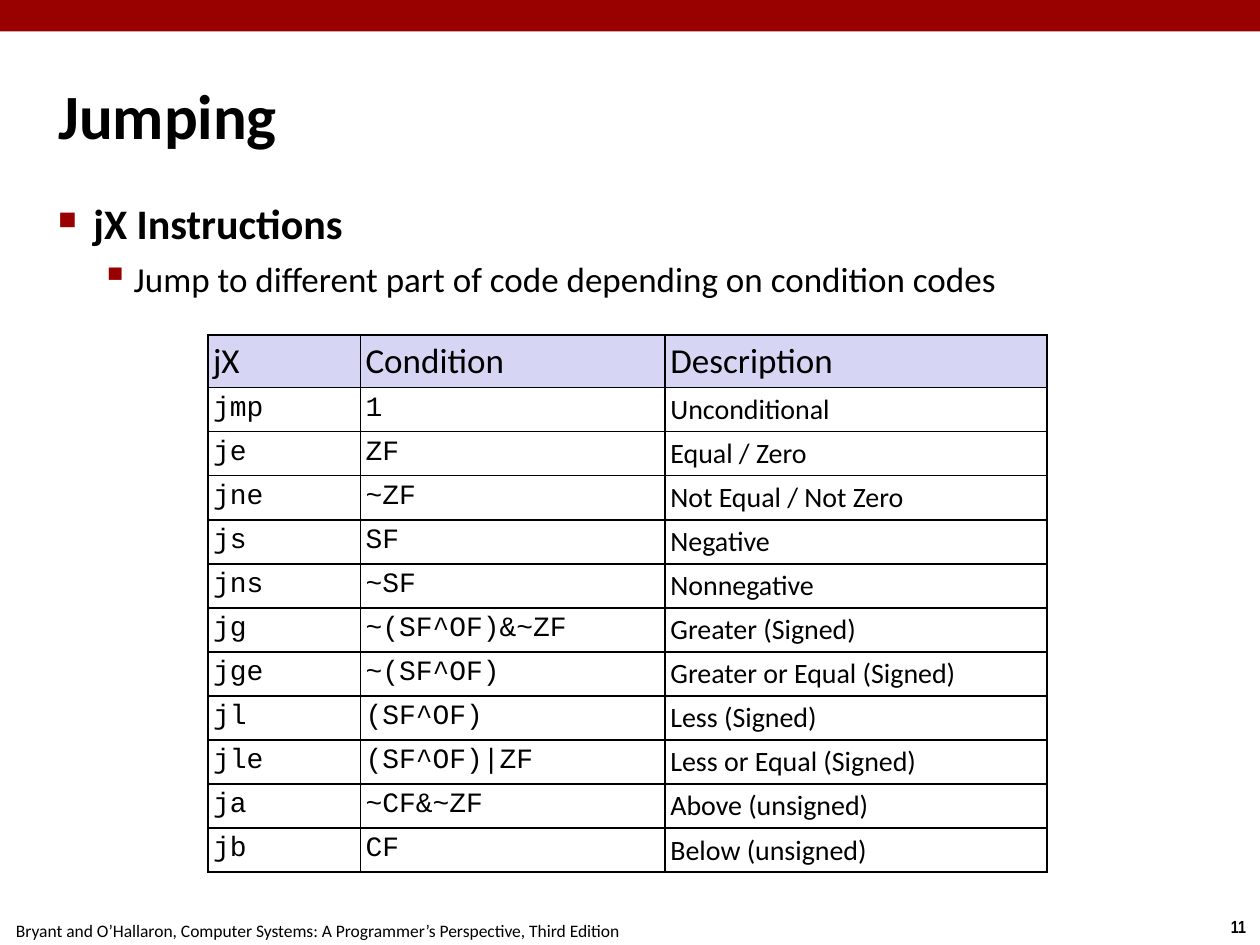
from typing import NamedTuple

from lxml.etree import SubElement
from pptx import Presentation
from pptx.dml.color import RGBColor
from pptx.enum.shapes import MSO_SHAPE as Preset
from pptx.enum.text import MSO_ANCHOR as Anchor, MSO_AUTO_SIZE as AutoSize, PP_ALIGN as Align
from pptx.oxml import parse_xml
from pptx.oxml.ns import nsdecls, qn
from pptx.util import Inches, Pt

BLACK = RGBColor(0x00, 0x00, 0x00)
CRIMSON = RGBColor(0x99, 0x00, 0x00)
LAVENDER = RGBColor(0xD6, 0xD6, 0xF4)
SANS, NARROW, MONO = "Calibri", "Arial Narrow", "Courier New"
INSET = Inches(1 / 24)


class Box(NamedTuple):
    left: float
    top: float
    width: float
    height: float

    def lengths(self) -> list:
        return [Inches(value) for value in self]


class Bullet(NamedTuple):
    symbol: str
    percent: int
    margin: float
    hanging: float


class Jump(NamedTuple):
    name: str
    condition: str
    description: str


HEADINGS = Jump("jX", "Condition", "Description")
JUMPS = [
    Jump("jmp", "1", "Unconditional"),
    Jump("je", "ZF", "Equal / Zero"),
    Jump("jne", "~ZF", "Not Equal / Not Zero"),
    Jump("js", "SF", "Negative"),
    Jump("jns", "~SF", "Nonnegative"),
    Jump("jg", "~(SF^OF)&~ZF", "Greater (Signed)"),
    Jump("jge", "~(SF^OF)", "Greater or Equal (Signed)"),
    Jump("jl", "(SF^OF)", "Less (Signed)"),
    Jump("jle", "(SF^OF)|ZF", "Less or Equal (Signed)"),
    Jump("ja", "~CF&~ZF", "Above (unsigned)"),
    Jump("jb", "CF", "Below (unsigned)"),
]
COLUMN_WIDTHS = [1.21, 2.42, 3.03]
COLUMN_FONTS = [MONO, MONO, SANS]


def write(paragraph, text: str, *, size: float, font: str = SANS, bold: bool = False,
          align=Align.LEFT, before: float = 0) -> None:
    run = paragraph.add_run()
    run.text = text
    run.font.size = Pt(size)
    run.font.name = font
    run.font.bold = bold
    run.font.color.rgb = BLACK
    paragraph.alignment = align
    paragraph.space_before = Pt(before)


def set_indent(paragraph, margin: float, hanging: float):
    properties = paragraph._p.get_or_add_pPr()
    properties.set("marL", str(Inches(margin)))
    properties.set("indent", str(-Inches(hanging)))
    return properties


def add_bullet(paragraph, bullet: Bullet) -> None:
    properties = set_indent(paragraph, bullet.margin, bullet.hanging)
    color = SubElement(properties, qn("a:buClr"))
    SubElement(color, qn("a:srgbClr"), val=str(CRIMSON))
    SubElement(properties, qn("a:buSzPct"), val=str(bullet.percent * 1000))
    SubElement(properties, qn("a:buChar"), char=bullet.symbol)


def set_insets(target) -> None:
    target.margin_left = target.margin_right = INSET
    target.margin_top = target.margin_bottom = INSET


def add_border(cell) -> None:
    properties = cell._tc.get_or_add_tcPr()
    for position, side in enumerate(("lnL", "lnR", "lnT", "lnB")):
        line = parse_xml(
            f'<a:{side} {nsdecls("a")} w="{Pt(1)}"><a:solidFill>'
            f'<a:srgbClr val="{BLACK}"/></a:solidFill></a:{side}>')
        properties.insert(position, line)


def add_banner(slide) -> None:
    banner = slide.shapes.add_shape(Preset.RECTANGLE, *Box(0, 0, 10, 0.25).lengths())
    banner.shadow.inherit = False
    banner.fill.solid()
    banner.fill.fore_color.rgb = CRIMSON
    banner.line.fill.background()


def add_footer(slide, box: Box, text: str, **style) -> None:
    frame = slide.shapes.add_textbox(*box.lengths()).text_frame
    frame.word_wrap = False
    frame.auto_size = AutoSize.SHAPE_TO_FIT_TEXT
    write(frame.paragraphs[0], text, size=10, align=Align.CENTER, **style)


def add_title(slide, text: str) -> None:
    title = slide.shapes.title
    title.left, title.top, title.width, title.height = Box(0.42, 0.28, 9.17, 1.25).lengths()
    frame = title.text_frame
    frame.auto_size = AutoSize.NONE
    frame.vertical_anchor = Anchor.MIDDLE
    set_insets(frame)
    set_indent(frame.paragraphs[0], 0.13, 0.13)
    write(frame.paragraphs[0], text, size=36, bold=True)


def add_body(slide) -> None:
    frame = slide.shapes.add_textbox(*Box(0.42, 1.53, 9.17, 0.94).lengths()).text_frame
    frame.word_wrap = True
    set_insets(frame)
    heading = frame.paragraphs[0]
    add_bullet(heading, Bullet("■", 60, 0.28, 0.28))
    write(heading, "jX Instructions", size=24, bold=True)
    detail = frame.add_paragraph()
    detail.level = 1
    add_bullet(detail, Bullet("▪", 110, 0.6, 0.26))
    write(detail, "Jump to different part of code depending on condition codes", size=20, before=5)


def add_jump_table(slide) -> None:
    rows = [HEADINGS, *JUMPS]
    box = Box(1.65, 2.66, sum(COLUMN_WIDTHS), 4.27)
    table = slide.shapes.add_table(len(rows), len(COLUMN_WIDTHS), *box.lengths()).table
    table.first_row = table.horz_banding = False
    for column, width in zip(table.columns, COLUMN_WIDTHS):
        column.width = Inches(width)
    for row_index, jump in enumerate(rows):
        is_header = row_index == 0
        table.rows[row_index].height = Inches(0.41 if is_header else 0.34)
        for column_index, text in enumerate(jump):
            cell = table.cell(row_index, column_index)
            set_insets(cell)
            if is_header:
                cell.fill.solid()
                cell.fill.fore_color.rgb = LAVENDER
            else:
                cell.fill.background()
            add_border(cell)
            write(cell.text_frame.paragraphs[0], text, size=20 if is_header else 16,
                  font=SANS if is_header else COLUMN_FONTS[column_index])


def main() -> None:
    presentation = Presentation()
    presentation.slide_width = Inches(10)
    presentation.slide_height = Inches(7.5)
    slide = presentation.slides.add_slide(presentation.slide_layouts[5])
    add_footer(slide, Box(9.66, 7.22, 0.34, 0.27), "11", font=NARROW, bold=True)
    add_footer(slide, Box(-0.02, 7.25, 5.08, 0.27),
               "Bryant and O’Hallaron, Computer Systems: A Programmer’s Perspective, Third Edition")
    add_banner(slide)
    add_title(slide, "Jumping")
    add_body(slide)
    add_jump_table(slide)
    presentation.save("out.pptx")


if __name__ == "__main__":
    main()
